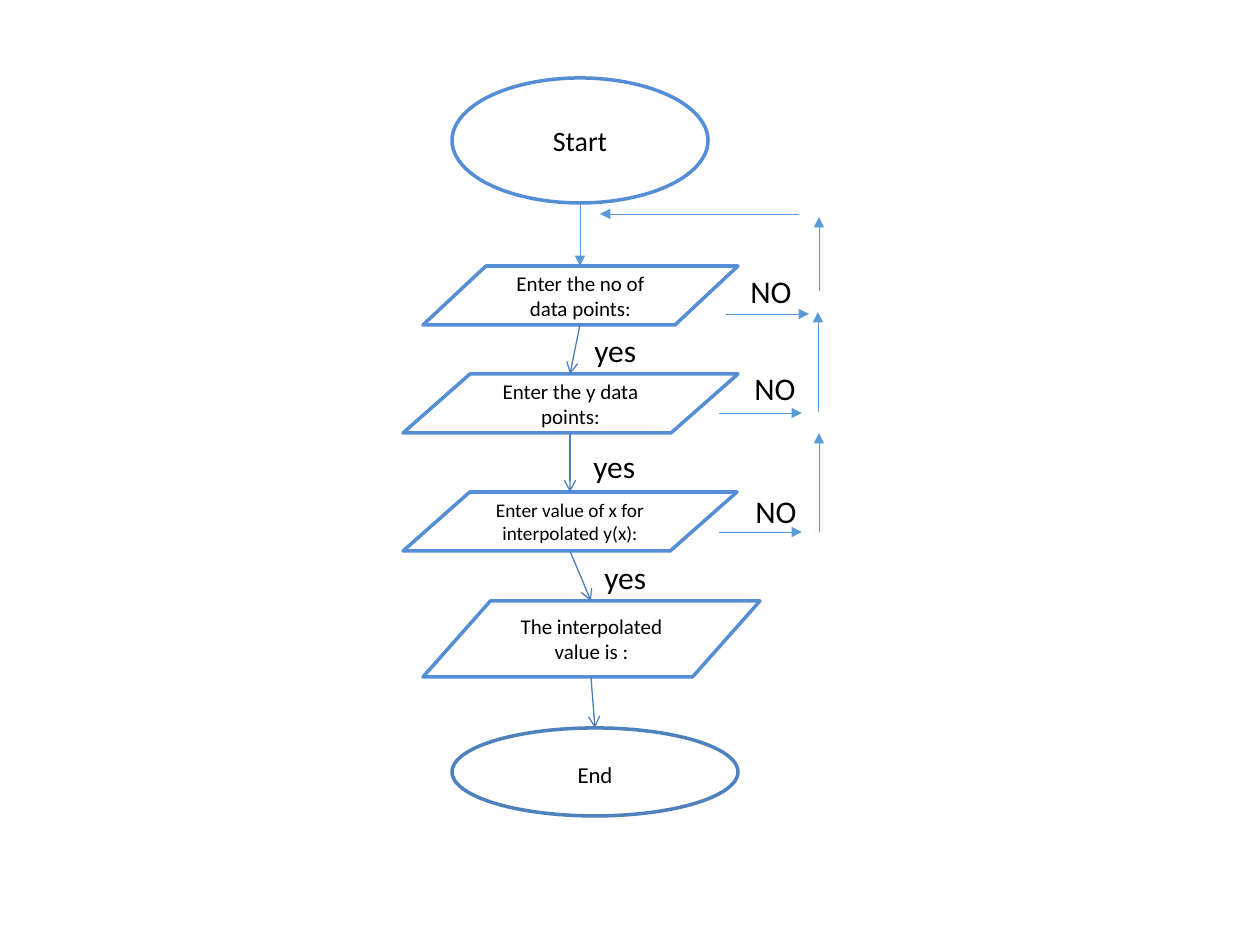
from lxml import etree
from pptx import Presentation
from pptx.dml.color import RGBColor
from pptx.enum.shapes import MSO_CONNECTOR, MSO_SHAPE
from pptx.enum.text import MSO_ANCHOR, MSO_AUTO_SIZE, PP_ALIGN
from pptx.oxml.ns import qn
from pptx.util import Pt

PX = 914400 // 126
OVAL = MSO_SHAPE.OVAL
INPUT_OUTPUT = MSO_SHAPE.FLOWCHART_DATA
STRAIGHT = MSO_CONNECTOR.STRAIGHT
CENTER = PP_ALIGN.CENTER
MIDDLE = MSO_ANCHOR.MIDDLE
FIT_SHAPE = MSO_AUTO_SIZE.SHAPE_TO_FIT_TEXT

WHITE = RGBColor(0xFF, 0xFF, 0xFF)
BLACK = RGBColor(0x00, 0x00, 0x00)
STEP_BLUE = RGBColor(0x55, 0x8E, 0xD5)
END_BLUE = RGBColor(0x4F, 0x81, 0xBD)
FLOW_BLUE = RGBColor(0x4B, 0x7E, 0xBC)
RETURN_BLUE = RGBColor(0x5B, 0x9B, 0xD5)

STEPS = [
    (OVAL, (452, 78, 256, 125), "Start", 16, STEP_BLUE),
    (INPUT_OUTPUT, (423, 266, 315, 59), "Enter the no of data points:", 12, STEP_BLUE),
    (INPUT_OUTPUT, (403, 374, 335, 59), "Enter the y data points:", 12, STEP_BLUE),
    (INPUT_OUTPUT, (403, 492, 334, 59), "Enter value of x for interpolated y(x):", 11, STEP_BLUE),
    (INPUT_OUTPUT, (423, 601, 337, 76), "The interpolated value is :", 12, STEP_BLUE),
    (OVAL, (452, 728, 286, 88), "End", 13, END_BLUE),
]
RETURN_ARROWS = [
    ((726, 314), (809, 314)),
    ((719, 413), (802, 413)),
    ((719, 532), (802, 532)),
    ((819, 532), (819, 433)),
    ((818, 412), (818, 312)),
    ((819, 291), (819, 217)),
    ((799, 214), (600, 214)),
]
ANSWERS = [
    ("yes", 582, 325),
    ("yes", 581, 441),
    ("yes", 592, 552),
    ("NO", 738, 266),
    ("NO", 742, 363),
    ("NO", 743, 486),
]


def px(*lengths):
    return [length * PX for length in lengths]


def write(frame, text, size):
    frame.text = text
    paragraph = frame.paragraphs[0]
    font = paragraph.runs[0].font
    font.name = "Calibri"
    font.size = Pt(size)
    font.color.rgb = BLACK
    return paragraph


def add_step(slide, kind, box, text, size, outline):
    step = slide.shapes.add_shape(kind, *px(*box))
    step.shadow.inherit = False
    step.fill.solid()
    step.fill.fore_color.rgb = WHITE
    step.line.color.rgb = outline
    step.line.width = Pt(2)
    frame = step.text_frame
    frame.word_wrap = True
    frame.vertical_anchor = MIDDLE
    paragraph = write(frame, text, size)
    paragraph.alignment = CENTER
    return paragraph


def add_arrow(slide, start, end, color, width, head):
    arrow = slide.shapes.add_connector(STRAIGHT, *px(*start, *end))
    arrow.line.color.rgb = color
    arrow.line.width = Pt(width)
    etree.SubElement(arrow.line._get_or_add_ln(), qn("a:tailEnd"), type=head)
    etree.SubElement(arrow._element.spPr, qn("a:effectLst"))


def add_answer(slide, text, left, top):
    answer = slide.shapes.add_textbox(*px(left, top, 68, 50))
    frame = answer.text_frame
    frame.word_wrap = False
    frame.auto_size = FIT_SHAPE
    write(frame, text, 18)


def add_flow(slide):
    boxes = [step[1] for step in STEPS]
    for number, (upper, lower) in enumerate(zip(boxes, boxes[1:])):
        start = (upper[0] + upper[2] // 2, upper[1] + upper[3])
        end = (lower[0] + lower[2] // 2, lower[1])
        if number == 0:
            add_arrow(slide, start, end, RETURN_BLUE, 0.5, "triangle")
        else:
            add_arrow(slide, start, end, FLOW_BLUE, 0.75, "arrow")


def main():
    deck = Presentation()
    deck.slide_width, deck.slide_height = px(1260, 945)
    slide = deck.slides.add_slide(deck.slide_layouts[6])

    step_texts = [add_step(slide, *step) for step in STEPS]
    end_text = step_texts[-1]
    end_text.line_spacing = 1.15
    end_text.space_after = Pt(10)

    add_flow(slide)
    for start, end in RETURN_ARROWS:
        add_arrow(slide, start, end, RETURN_BLUE, 0.5, "triangle")
    for answer in ANSWERS:
        add_answer(slide, *answer)

    deck.save("out.pptx")


main()
